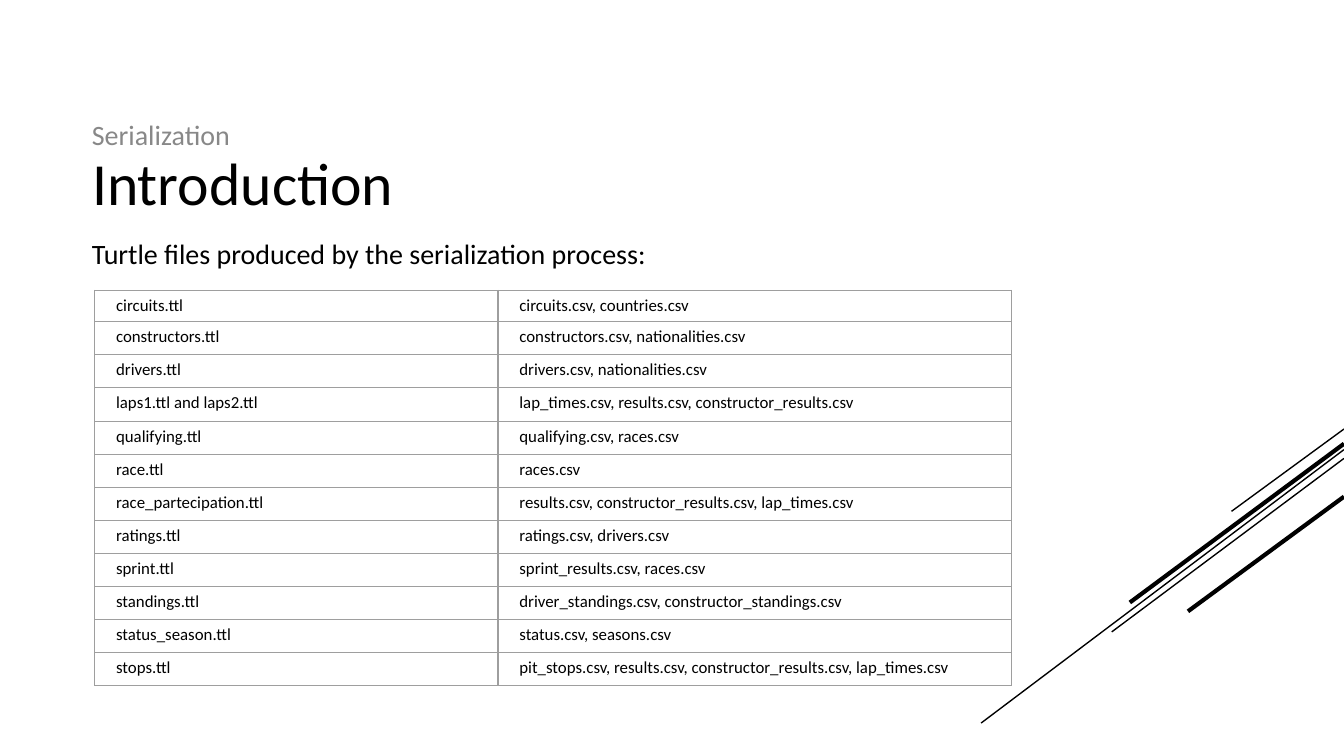
"""Build the slide that lists the Turtle files made by the serialization process."""
from lxml import etree
from pptx import Presentation
from pptx import util as u
from pptx.dml.color import RGBColor
from pptx.enum import shapes, text
from pptx.oxml import parse_xml
from pptx.oxml.ns import nsdecls, qn

WIDTH = u.Inches(10)
HEIGHT = u.Emu(WIDTH * 9 // 16)
FONT = "Calibri"
BLACK = RGBColor(0x00, 0x00, 0x00)
GRAY = RGBColor(0x88, 0x88, 0x88)
BORDER = RGBColor(0x9E, 0x9E, 0x9E)
COLUMN_SHARES = (0.44, 0.56)
ROW_WEIGHTS = [0.94, 1, 1, 1.03] + [1] * 8
STREAKS = [
    ((1, 0), (0.69, 0.28), 0.75),
    ((1, 0.07), (0, 1), 0.75),
    ((1, 0.1), (0.36, 0.69), 0.75),
    ((1, 0.05), (0.41, 0.59), 2.25),
    ((1, 0.23), (0.57, 0.62), 2.25),
]
FILES = [
    ("circuits.ttl", "circuits.csv, countries.csv"),
    ("constructors.ttl", "constructors.csv, nationalities.csv"),
    ("drivers.ttl", "drivers.csv, nationalities.csv"),
    ("laps1.ttl and laps2.ttl", "lap_times.csv, results.csv, constructor_results.csv"),
    ("qualifying.ttl", "qualifying.csv, races.csv"),
    ("race.ttl", "races.csv"),
    ("race_partecipation.ttl", "results.csv, constructor_results.csv, lap_times.csv"),
    ("ratings.ttl", "ratings.csv, drivers.csv"),
    ("sprint.ttl", "sprint_results.csv, races.csv"),
    ("standings.ttl", "driver_standings.csv, constructor_standings.csv"),
    ("status_season.ttl", "status.csv, seasons.csv"),
    ("stops.ttl", "pit_stops.csv, results.csv, constructor_results.csv, lap_times.csv"),
]


def percent_box(x, y, w, h):
    """Turn percentages of the slide into left, top, width and height."""
    return [int(size * share / 100)
            for size, share in zip((WIDTH, HEIGHT) * 2, (x, y, w, h))]


def write_run(p, content, size, color=BLACK):
    """Add one formatted run to a left-aligned paragraph."""
    p.alignment = text.PP_ALIGN.LEFT
    r = p.add_run()
    r.text = content
    r.font.name, r.font.size = FONT, u.Pt(size)
    r.font.color.rgb = color


def write(tf, content, size, color=BLACK, anchor=text.MSO_ANCHOR.TOP, inset=0.1):
    """Put one formatted paragraph into a text frame."""
    tf.word_wrap = True
    tf.auto_size = text.MSO_AUTO_SIZE.NONE
    tf.vertical_anchor = anchor
    tf.margin_left = tf.margin_right = u.Inches(0.1)
    tf.margin_top = tf.margin_bottom = u.Inches(inset)
    write_run(tf.paragraphs[0], content, size, color)


def add_streaks(s, box):
    """Draw the diagonal lines inside the box."""
    left, top, width, height = box
    for start, end, weight in STREAKS:
        ends = [int(v) for x, y in (start, end)
                for v in (left + x * width, top + y * height)]
        line = s.shapes.add_connector(shapes.MSO_CONNECTOR.STRAIGHT, *ends)
        line.line.color.rgb = BLACK
        line.line.width = u.Pt(weight)
        etree.SubElement(line._element.spPr, qn("a:effectLst"))


def add_title(s, box, content):
    """Place the title placeholder in the box."""
    sp = s.shapes.title
    sp.left, sp.top, sp.width, sp.height = box
    write(sp.text_frame, content, 32, anchor=text.MSO_ANCHOR.MIDDLE, inset=0.05)


def add_label(s, box, content, color=BLACK):
    """Place a line of text in the box."""
    write(s.shapes.add_textbox(*box).text_frame, content, 15, color)


def outline_cell(cell):
    """Give a cell thin borders on all sides and no fill."""
    tc_pr = cell._tc.get_or_add_tcPr()
    for side in "LRTB":
        tc_pr.append(parse_xml(
            f'<a:ln{side} {nsdecls("a")} w="{u.Pt(0.75)}"><a:solidFill>'
            f'<a:srgbClr val="{BORDER}"/></a:solidFill></a:ln{side}>'))
    cell.fill.background()


def add_file_table(s, box):
    """Fill the box with the table of produced files and their sources."""
    width, height = box[2:]
    table = s.shapes.add_table(len(FILES), len(COLUMN_SHARES), *box).table
    table.first_row = table.horz_banding = False
    for column, share in zip(table.columns, COLUMN_SHARES):
        column.width = int(width * share)
    for row, weight, names in zip(table.rows, ROW_WEIGHTS, FILES):
        row.height = int(height * weight / sum(ROW_WEIGHTS))
        for cell, name in zip(row.cells, names):
            cell.margin_left = u.Inches(0.16)
            cell.margin_right = cell.margin_top = cell.margin_bottom = u.Inches(0.04)
            write_run(cell.text_frame.paragraphs[0], name, 9)
            outline_cell(cell)


def main():
    """Build and save the presentation."""
    prs = Presentation()
    prs.slide_width, prs.slide_height = WIDTH, HEIGHT
    s = prs.slides.add_slide(prs.slide_layouts.get_by_name("Title Only"))
    add_streaks(s, percent_box(73, 56.75, 27, 38.9))
    add_title(s, percent_box(5.85, 16.3, 71.7, 15.5), "Introduction")
    add_label(s, percent_box(5.85, 13.8, 33.5, 9.6), "Serialization", GRAY)
    add_label(s, percent_box(5.85, 29.5, 62.1, 60),
              "Turtle files produced by the serialization process:")
    add_file_table(s, percent_box(7.04, 38.42, 68.2, 52.3))
    prs.save("out.pptx")


if __name__ == "__main__":
    main()
